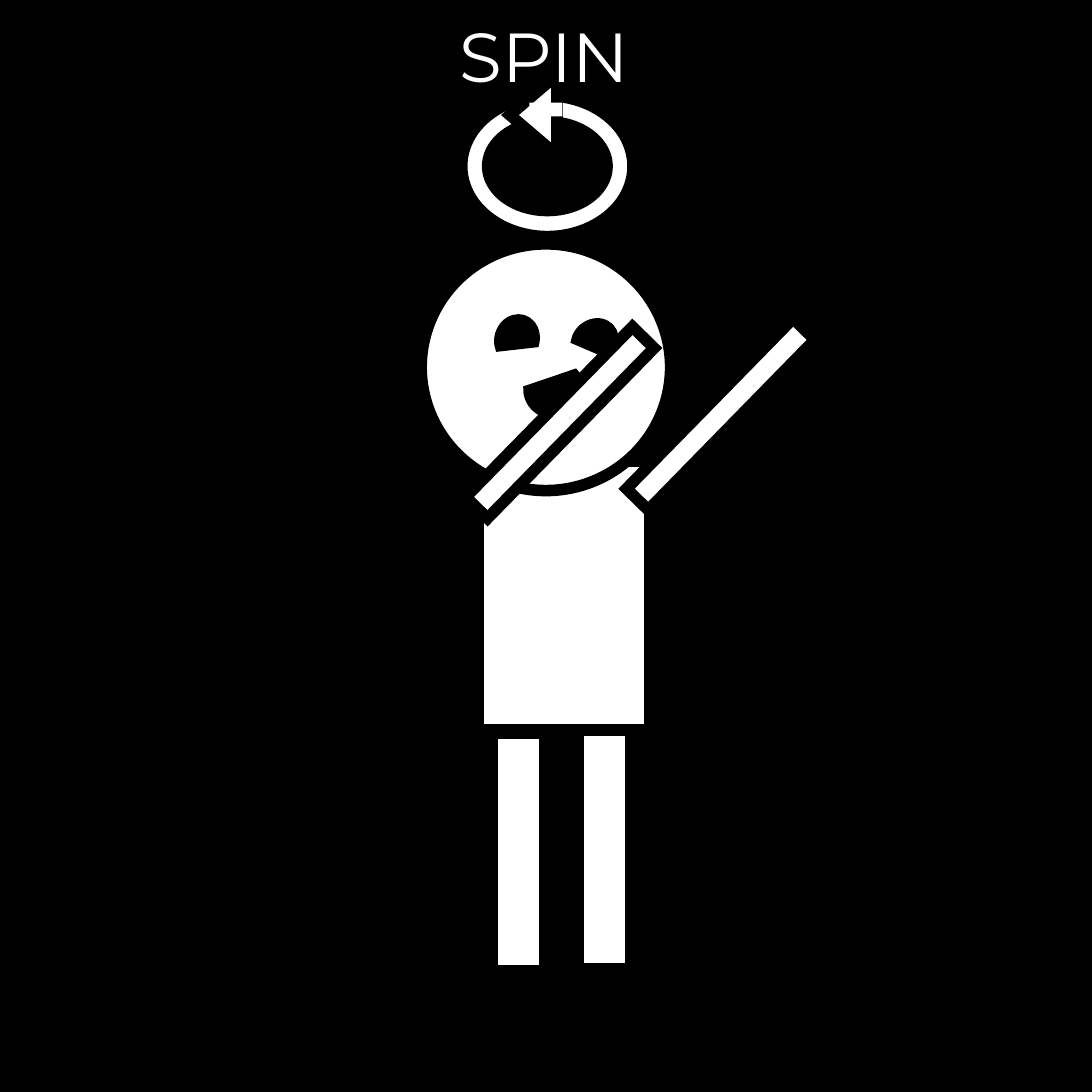
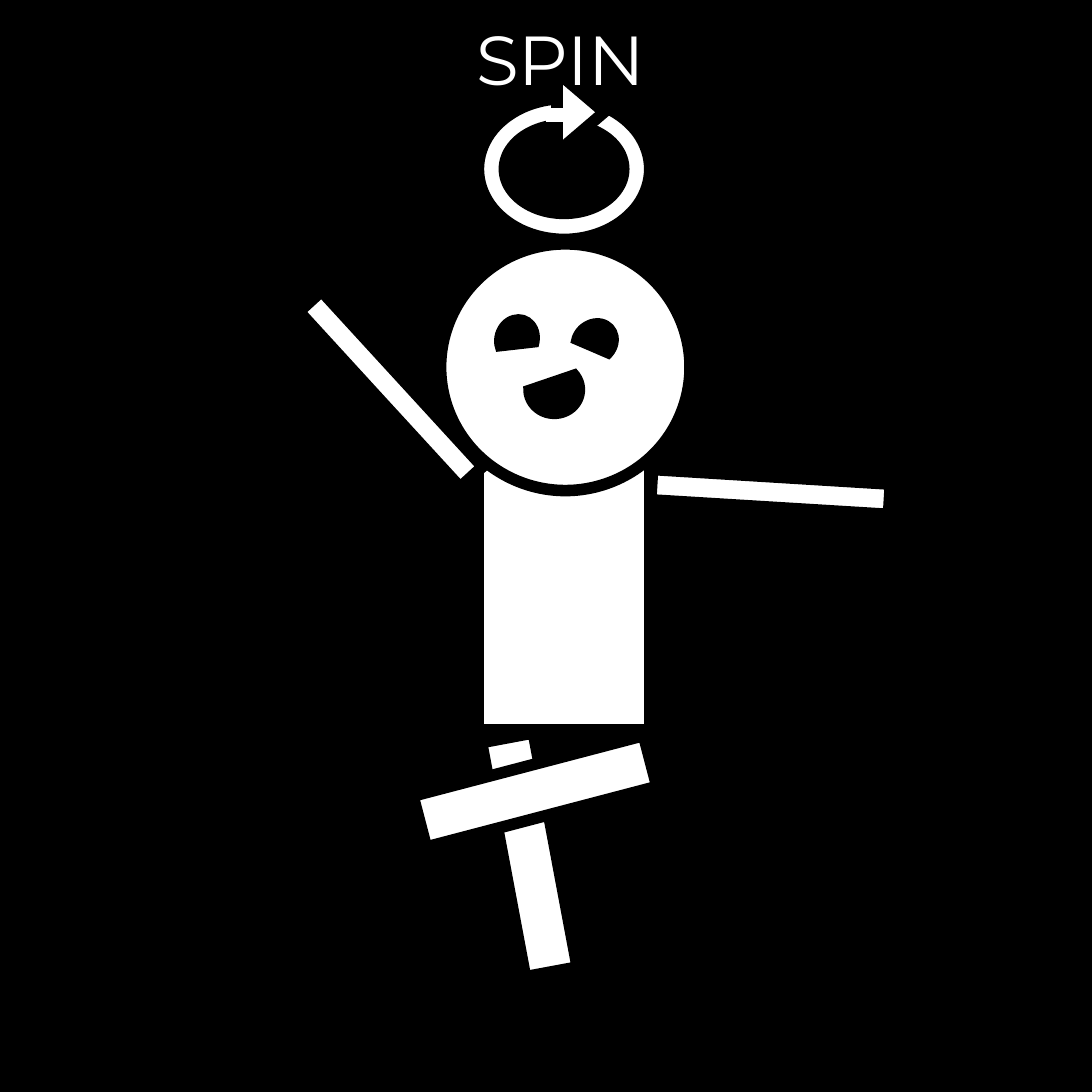
from lxml import etree
from pptx import Presentation
from pptx.dml.color import RGBColor
from pptx.enum import shapes, text
from pptx.oxml.ns import qn
from pptx.util import Inches, Pt

COLORS = {"night": "000000", "chalk": "FFFFFF"}
KINDS = shapes.MSO_SHAPE
SIDE = 3.94
LIMB_LENGTH, ARM, LEG = 0.86, 0.11, 0.19
BODY = (1.74, 1.68, 0.59, 0.94)
FACE = [(1.78, 1.15, 0.17, 0.15, 106.7), (2.06, 1.16, 0.17, 0.15, 136.4), (1.9, 1.3, 0.2, 0.21, 273.4)]
TITLE_FONT = {"name": "Montserrat", "size": Pt(18)}
POSES = [
    {
        "head": 1.52,
        "limbs": [(2.17, 1.44, ARM, 134.4), (1.75, 2.97, LEG, 90), (1.44, 2.98, LEG, 90), (1.59, 1.47, ARM, 134.4)],
        "spin": {"left": 1.68, "top": 0.36, "tip": (0.1, -0.03, 270), "tail_drop": 0.01},
    },
    {
        "head": 1.59,
        "limbs": [(0.98, 1.35, ARM, 47.5), (2.35, 1.72, ARM, 183.5), (1.48, 2.99, LEG, 79.4), (1.5, 2.76, LEG, 165.3)],
        "spin": {"left": 1.74, "top": 0.37, "tip": (0.21, -0.05, 90), "tail_drop": 0.02},
    },
]


def rgb(name):
    """Return a palette colour."""
    return RGBColor.from_string(COLORS[name])


def add_part(slide, kind, box, fill="chalk", outline=1, rotation=0):
    """Add a filled part with a sharp dark outline, or none if outline is 0."""
    part = slide.shapes.add_shape(kind, *map(Inches, box))
    part.shadow.inherit = False
    part.rotation = rotation
    part.fill.solid()
    part.fill.fore_color.rgb = rgb(fill)
    if outline:
        part.line.color.rgb = rgb("night")
        part.line.width = Pt(outline)
        miter = etree.SubElement(part.line._get_or_add_ln(), qn("a:miter"))
        miter.set("lim", "800000")
    else:
        part.line.fill.background()
    return part


def draw_figure(slide, head_left, limbs):
    """Draw the body, head, face and limbs of the dancer."""
    add_part(slide, KINDS.RECTANGLE, BODY)
    add_part(slide, KINDS.OVAL, (head_left, 0.88, 0.9, 0.89), outline=3)
    for *box, angle in FACE:
        add_part(slide, KINDS.CHORD, box, "night", rotation=angle)
    for left, top, thickness, angle in limbs:
        add_part(slide, KINDS.RECTANGLE, (left, top, LIMB_LENGTH, thickness), outline=3, rotation=angle)


def draw_spin(slide, left, top, tip, tail_drop):
    """Draw the circling arrow and its caption relative to the ring's corner."""
    ring = add_part(slide, KINDS.DONUT, (left, top, 0.59, 0.48))
    ring.adjustments[0] = 0.137
    tip_x, tip_y, angle = tip
    add_part(slide, KINDS.ISOSCELES_TRIANGLE, (left + tip_x, top + tip_y, 0.29, 0.17), outline=3, rotation=angle)
    add_part(slide, KINDS.RECTANGLE, (left + 0.23, top + tail_drop, 0.12, 0.05), outline=0)
    caption = slide.shapes.add_textbox(*map(Inches, (left - 0.12, top - 0.36, 0.99, 0.4))).text_frame
    caption.word_wrap = True
    caption.auto_size = text.MSO_AUTO_SIZE.SHAPE_TO_FIT_TEXT
    word = caption.paragraphs[0].add_run()
    word.text = "SPIN"
    for key, value in TITLE_FONT.items():
        setattr(word.font, key, value)
    word.font.color.rgb = rgb("chalk")


def add_pose(deck, pose):
    """Add one slide with a dancer in the given pose."""
    slide = deck.slides.add_slide(deck.slide_layouts[6])
    slide.background.fill.solid()
    slide.background.fill.fore_color.rgb = rgb("night")
    draw_figure(slide, pose["head"], pose["limbs"])
    draw_spin(slide, **pose["spin"])


def main():
    """Build and save the deck."""
    deck = Presentation()
    deck.slide_width = deck.slide_height = Inches(SIDE)
    for pose in POSES:
        add_pose(deck, pose)
    deck.save("out.pptx")


if __name__ == "__main__":
    main()
